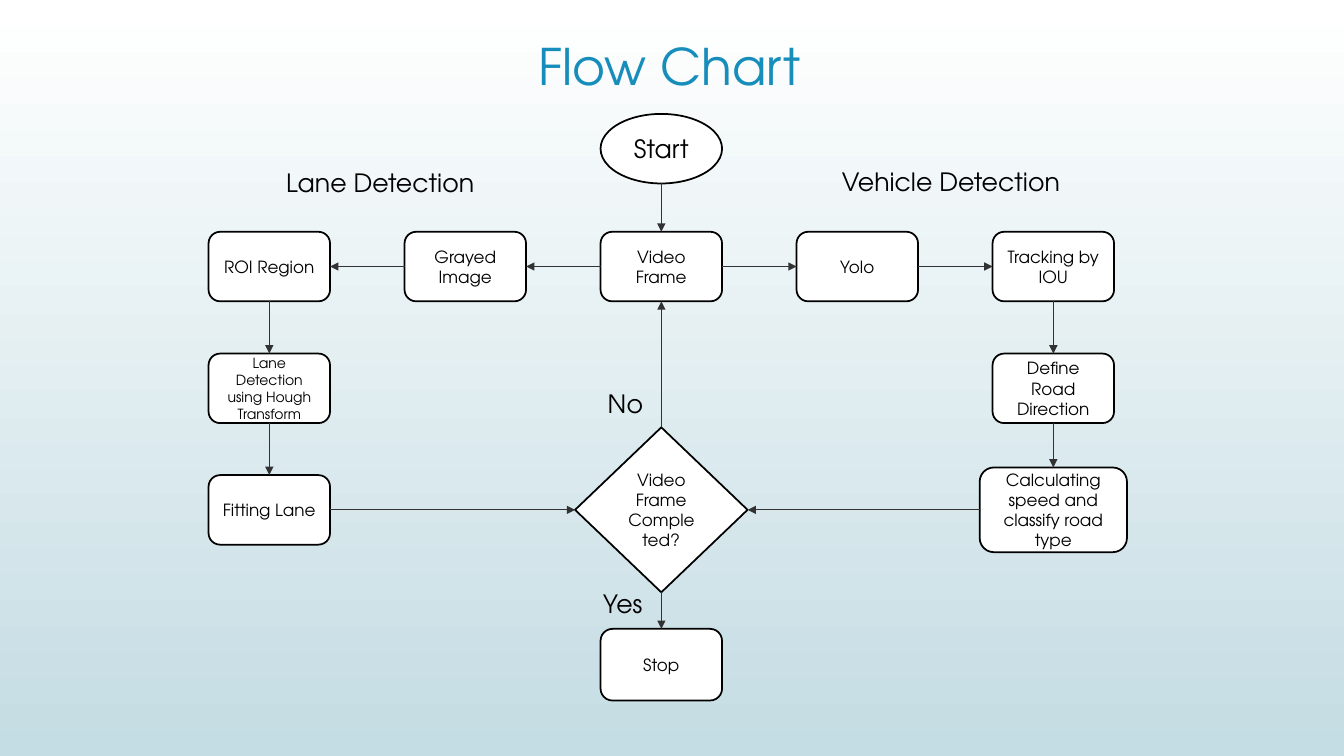
from lxml.etree import SubElement
from pptx import Presentation
from pptx.dml.color import RGBColor
from pptx.enum.shapes import MSO_CONNECTOR, MSO_SHAPE
from pptx.enum.text import MSO_ANCHOR, MSO_AUTO_SIZE, PP_ALIGN
from pptx.oxml.ns import qn
from pptx.util import Pt

FONT = "TeX Gyre Adventor"
BLACK = RGBColor(0x00, 0x00, 0x00)
WHITE = RGBColor(0xFF, 0xFF, 0xFF)
MIST = RGBColor(0xC4, 0xDC, 0xE3)
BLUE = RGBColor(0x16, 0x8D, 0xBA)
CHARCOAL = RGBColor(0x32, 0x32, 0x32)

TITLE = "Flow Chart"
TITLE_PLACE = (377.3, 21.6, 205.2, 59.8)

FIRST_COLUMN, COLUMN_STEP = 192.4, 140
ROW_CENTERS = [106.2, 190.4, 277.4, 364.2, 474.8]
STEP_SIZE = (86.8, 49.7)

ROUNDED, OVAL, DIAMOND = MSO_SHAPE.ROUNDED_RECTANGLE, MSO_SHAPE.OVAL, MSO_SHAPE.DIAMOND
STEPS = {
    "start": ("Start", 2, 0, OVAL, STEP_SIZE, 18),
    "frame": ("Video Frame", 2, 1, ROUNDED, STEP_SIZE, 12),
    "gray": ("Grayed Image", 1, 1, ROUNDED, STEP_SIZE, 12),
    "region": ("ROI Region", 0, 1, ROUNDED, STEP_SIZE, 12),
    "hough": ("Lane Detection using Hough Transform", 0, 2, ROUNDED, STEP_SIZE, 10),
    "fitting": ("Fitting Lane", 0, 3, ROUNDED, STEP_SIZE, 12),
    "decision": ("Video Frame Completed?", 2, 3, DIAMOND, (123.2, 117.8), 12),
    "stop": ("Stop", 2, 4, ROUNDED, (86.8, 51.2), 12),
    "yolo": ("Yolo", 3, 1, ROUNDED, STEP_SIZE, 12),
    "tracking": ("Tracking by IOU", 4, 1, ROUNDED, STEP_SIZE, 12),
    "speed": ("Calculating speed and classify road type", 4, 3, ROUNDED, (105.2, 60.5), 12),
    "direction": ("Define Road Direction", 4, 2, ROUNDED, STEP_SIZE, 12),
}

TOP, LEFT, BOTTOM, RIGHT = range(4)
ARROWS = [
    ("start", BOTTOM, "frame", TOP),
    ("frame", LEFT, "gray", RIGHT),
    ("gray", LEFT, "region", RIGHT),
    ("region", BOTTOM, "hough", TOP),
    ("hough", BOTTOM, "fitting", TOP),
    ("fitting", RIGHT, "decision", LEFT),
    ("decision", BOTTOM, "stop", TOP),
    ("decision", TOP, "frame", BOTTOM),
    ("frame", RIGHT, "yolo", LEFT),
    ("yolo", RIGHT, "tracking", LEFT),
    ("tracking", BOTTOM, "direction", TOP),
    ("direction", BOTTOM, "speed", TOP),
    ("speed", LEFT, "decision", RIGHT),
]

LABELS = [
    ("No", 427, 273.9, 50.4),
    ("Yes", 423.8, 416.9, 50.4),
    ("Lane Detection", 197.3, 116.1, 213),
    ("Vehicle Detection", 594.2, 115.4, 213),
]
LABEL_HEIGHT = 29


def write(frame, text, size, color, align, anchor):
    frame.word_wrap = True
    frame.vertical_anchor = anchor
    frame.text = text
    para = frame.paragraphs[0]
    para.alignment = align
    font = para.runs[0].font
    font.name, font.size, font.color.rgb = FONT, Pt(size), color


def add_step(page, text, column, row, kind, size, font_size):
    width, height = size
    left = FIRST_COLUMN + column * COLUMN_STEP - width / 2
    top = ROW_CENTERS[row] - height / 2
    box = page.shapes.add_shape(kind, Pt(left), Pt(top), Pt(width), Pt(height))
    box.shadow.inherit = False
    box.fill.solid()
    box.fill.fore_color.rgb = WHITE
    box.line.color.rgb = BLACK
    box.line.width = Pt(1.25)
    write(box.text_frame, text, font_size, BLACK, PP_ALIGN.CENTER, MSO_ANCHOR.MIDDLE)
    return box


def side_middle(box, side):
    across = {LEFT: 0, RIGHT: box.width}.get(side, box.width // 2)
    down = {TOP: 0, BOTTOM: box.height}.get(side, box.height // 2)
    return box.left + across, box.top + down


def add_arrow(page, source, source_side, target, target_side):
    arrow = page.shapes.add_connector(
        MSO_CONNECTOR.STRAIGHT,
        *side_middle(source, source_side),
        *side_middle(target, target_side),
    )
    if source.auto_shape_type != OVAL:
        arrow.begin_connect(source, source_side)
    arrow.end_connect(target, target_side)
    arrow.line.color.rgb = CHARCOAL
    arrow.line.width = Pt(0.75)
    SubElement(arrow.line._get_or_add_ln(), qn("a:tailEnd"), type="triangle")
    SubElement(arrow._element.spPr, qn("a:effectLst"))


def main():
    deck = Presentation()
    deck.slide_width, deck.slide_height = Pt(960), Pt(540)
    page = deck.slides.add_slide(deck.slide_layouts[5])

    background = page.background.fill
    background.gradient()
    background.gradient_angle = 270
    for stop, color in zip(background.gradient_stops, (WHITE, MIST)):
        stop.color.rgb = color

    title = page.shapes.title
    title.left, title.top, title.width, title.height = map(Pt, TITLE_PLACE)
    write(title.text_frame, TITLE, 36, BLUE, PP_ALIGN.LEFT, MSO_ANCHOR.TOP)

    boxes = {name: add_step(page, *step) for name, step in STEPS.items()}
    for source, source_side, target, target_side in ARROWS:
        add_arrow(page, boxes[source], source_side, boxes[target], target_side)

    for text, left, top, width in LABELS:
        label = page.shapes.add_textbox(Pt(left), Pt(top), Pt(width), Pt(LABEL_HEIGHT))
        write(label.text_frame, text, 18, BLACK, PP_ALIGN.LEFT, MSO_ANCHOR.TOP)
        label.text_frame.auto_size = MSO_AUTO_SIZE.SHAPE_TO_FIT_TEXT

    deck.save("out.pptx")


if __name__ == "__main__":
    main()
